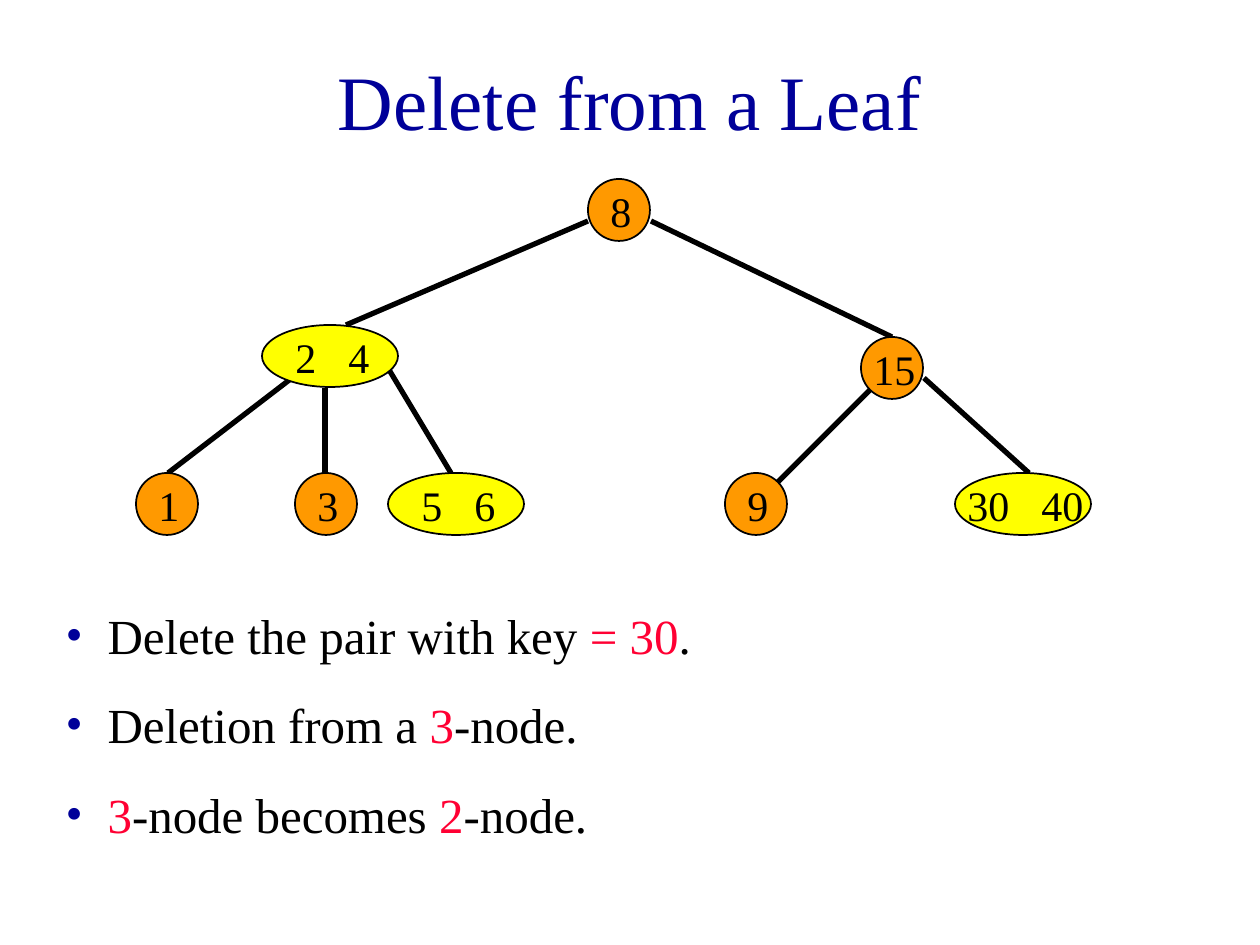
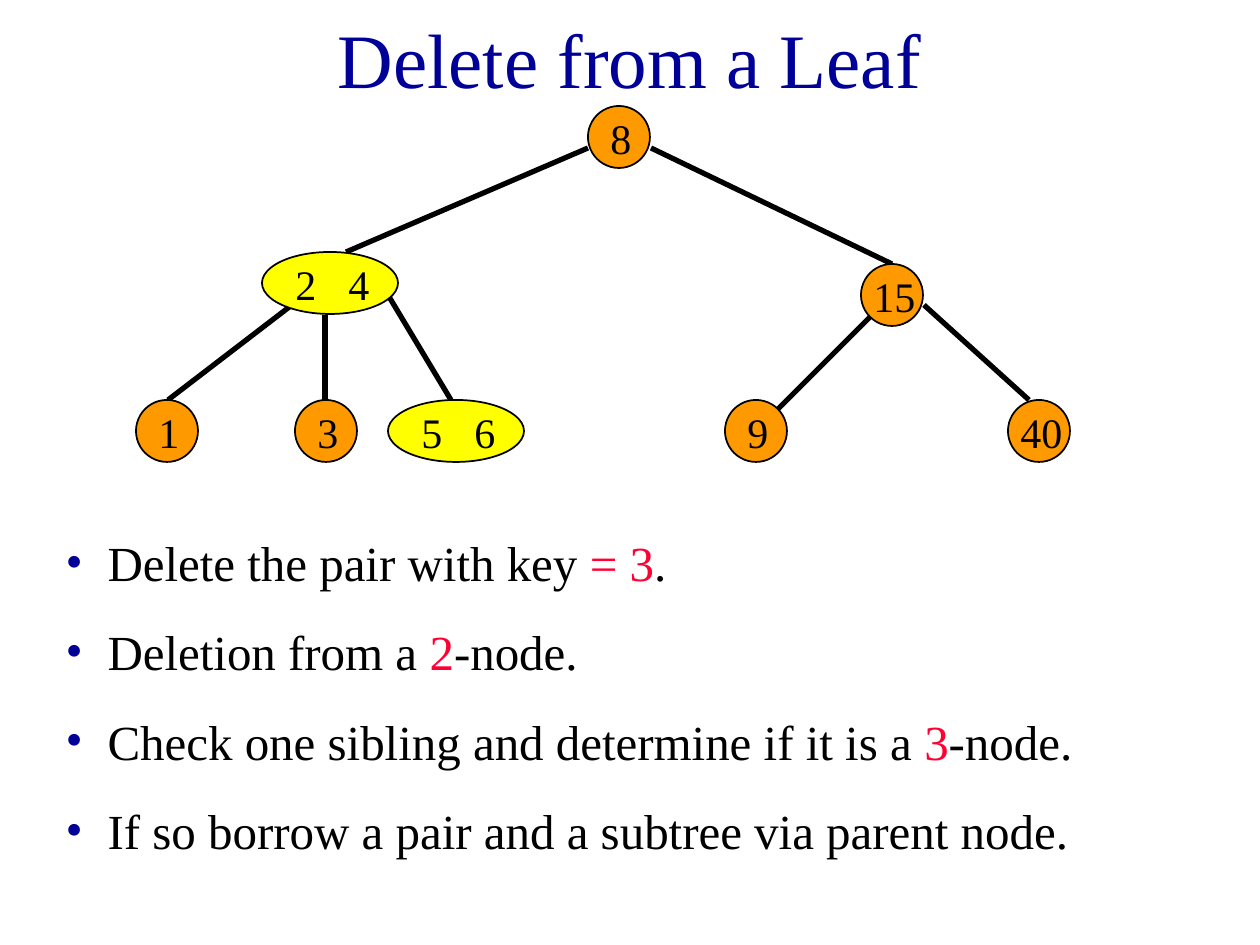
from dataclasses import dataclass

from lxml import etree
from pptx import Presentation
from pptx.dml.color import RGBColor
from pptx.enum.shapes import MSO_CONNECTOR, MSO_SHAPE
from pptx.enum.text import MSO_ANCHOR, MSO_AUTO_SIZE, PP_ALIGN
from pptx.oxml.ns import qn
from pptx.util import Emu, Pt

PX = 914400 / 126
OVAL = MSO_SHAPE.OVAL
STRAIGHT = MSO_CONNECTOR.STRAIGHT
MIDDLE = MSO_ANCHOR.MIDDLE
TOP = MSO_ANCHOR.TOP
NO_AUTOFIT = MSO_AUTO_SIZE.NONE
CENTER = PP_ALIGN.CENTER
LEFT = PP_ALIGN.LEFT


@dataclass(frozen=True)
class Theme:
    font: str = "Times New Roman"
    navy: str = "000099"
    black: str = "000000"
    red: str = "FF0033"
    orange: str = "FF9900"
    yellow: str = "FFFF00"
    title_size: int = 44
    bullet_size: int = 28
    key_size: int = 24
    bullet_gap: float = 17.5
    outline: int = 1
    edge: int = 3


THEME = Theme()
NODE_HEIGHT = 62
NODE_WIDTHS = {1: 62, 2: 136}
NODE_FILLS = {1: THEME.orange, 2: THEME.yellow}
LABEL_FITS = {
    (1, 1): (10, 53, 0),
    (1, 2): (0, 74, 0),
    (2, 1): (21, 105, 53),
    (2, 2): (0, 189, 74),
}
LEAF_Y = 294
SHARED_NODES = [
    (("8",), 588, 0),
    (("2", "4"), 262, 146),
    (("15",), 861, 158),
    (("1",), 136, LEAF_Y),
    (("3",), 295, LEAF_Y),
    (("5", "6"), 388, LEAF_Y),
    (("9",), 725, LEAF_Y),
]
EDGES = [
    (588, 42, 346, 146),
    (651, 42, 892, 158),
    (305, 189, 168, LEAF_Y),
    (325, 209, 325, LEAF_Y),
    (388, 189, 451, LEAF_Y),
    (872, 209, 777, 304),
    (924, 199, 1029, LEAF_Y),
]


def px(value):
    return Emu(round(value * PX))


def set_all(target, values):
    for name, value in values.items():
        setattr(target, name, value)


def place(shape, left, top, width, height):
    box = {"left": left, "top": top, "width": width, "height": height}
    set_all(shape, {name: px(value) for name, value in box.items()})


def add_run(paragraph, text, size, color):
    run = paragraph.add_run()
    run.text = text
    set_all(run.font, {"name": THEME.font, "size": Pt(size)})
    run.font.color.rgb = RGBColor.from_string(color)


def set_title(slide, text, top, height):
    title = slide.shapes.title
    place(title, 94, top, 1071, height)
    set_all(title.text_frame, {"auto_size": NO_AUTOFIT, "vertical_anchor": MIDDLE})
    paragraph = title.text_frame.paragraphs[0]
    paragraph.alignment = CENTER
    add_run(paragraph, text, THEME.title_size, THEME.navy)


def format_bullet(paragraph):
    properties = paragraph._p.get_or_add_pPr()
    properties.set("marL", str(px(42)))
    properties.set("indent", str(-px(42)))
    color = etree.SubElement(properties, qn("a:buClr"))
    etree.SubElement(color, qn("a:srgbClr"), val=THEME.navy)
    etree.SubElement(properties, qn("a:buFont"), typeface=THEME.font)
    etree.SubElement(properties, qn("a:buChar"), char="•")
    set_all(paragraph, {"space_before": Pt(THEME.bullet_gap), "alignment": LEFT})


def set_bullets(slide, lines, top):
    body = slide.placeholders[1]
    place(body, 53, top, 1207, 89 * len(lines) - 16)
    frame = body.text_frame
    set_all(frame, {"auto_size": NO_AUTOFIT, "vertical_anchor": TOP})
    for index, line in enumerate(lines):
        paragraph = frame.add_paragraph() if index else frame.paragraphs[0]
        format_bullet(paragraph)
        for part, text in enumerate(line.split("*")):
            if text:
                color = THEME.red if part % 2 else THEME.black
                add_run(paragraph, text, THEME.bullet_size, color)


def add_edge(slide, start_x, start_y, end_x, end_y):
    points = [px(value) for value in (start_x, start_y, end_x, end_y)]
    edge = slide.shapes.add_connector(STRAIGHT, *points)
    edge.line.width = Pt(THEME.edge)
    edge.line.color.rgb = RGBColor.from_string(THEME.black)
    etree.SubElement(edge._element.spPr, qn("a:effectLst"))


def add_label(slide, keys, left, top):
    shift, width, tab = LABEL_FITS[len(keys), len(keys[0])]
    box = [px(value) for value in (left + shift, top, width, 63)]
    frame = slide.shapes.add_textbox(*box).text_frame
    frame.word_wrap = True
    paragraph = frame.paragraphs[0]
    paragraph.space_before = Pt(15)
    if tab:
        tabs = etree.SubElement(paragraph._p.get_or_add_pPr(), qn("a:tabLst"))
        etree.SubElement(tabs, qn("a:tab"), pos=str(px(tab)), algn="l")
    add_run(paragraph, "\t".join(keys), THEME.key_size, THEME.black)


def add_node(slide, keys, left, top):
    count = len(keys)
    box = [px(value) for value in (left, top, NODE_WIDTHS[count], NODE_HEIGHT)]
    node = slide.shapes.add_shape(OVAL, *box)
    node.shadow.inherit = False
    node.fill.solid()
    node.fill.fore_color.rgb = RGBColor.from_string(NODE_FILLS[count])
    node.line.width = Pt(THEME.outline)
    node.line.color.rgb = RGBColor.from_string(THEME.black)
    add_label(slide, keys, left, top)


def add_tree(slide, top, last_leaf):
    for start_x, start_y, end_x, end_y in EDGES:
        add_edge(slide, start_x, top + start_y, end_x, top + end_y)
    for keys, left, offset in [*SHARED_NODES, last_leaf]:
        add_node(slide, keys, left, top + offset)


def add_deletion_slide(presentation, title_top, title_height, tree_top, last_leaf, lines):
    slide = presentation.slides.add_slide(presentation.slide_layouts[1])
    set_title(slide, "Delete from a Leaf", title_top, title_height)
    set_bullets(slide, lines, tree_top + 420)
    add_tree(slide, tree_top, last_leaf)


def main():
    presentation = Presentation()
    set_all(presentation, {"slide_width": px(1260), "slide_height": px(945)})
    add_deletion_slide(
        presentation, 21, 158, 179, (("30", "40"), 955, LEAF_Y),
        [
            "Delete the pair with key *= 30*.",
            "Deletion from a *3*-node.",
            "*3*-node becomes *2*-node.",
        ],
    )
    add_deletion_slide(
        presentation, 0, 116, 106, (("40",), 1008, LEAF_Y),
        [
            "Delete the pair with key *= 3*.",
            "Deletion from a *2*-node.",
            "Check one sibling and determine if it is a *3*-node.",
            "If so borrow a pair and a subtree via parent node.",
        ],
    )
    presentation.save("out.pptx")


if __name__ == "__main__":
    main()
